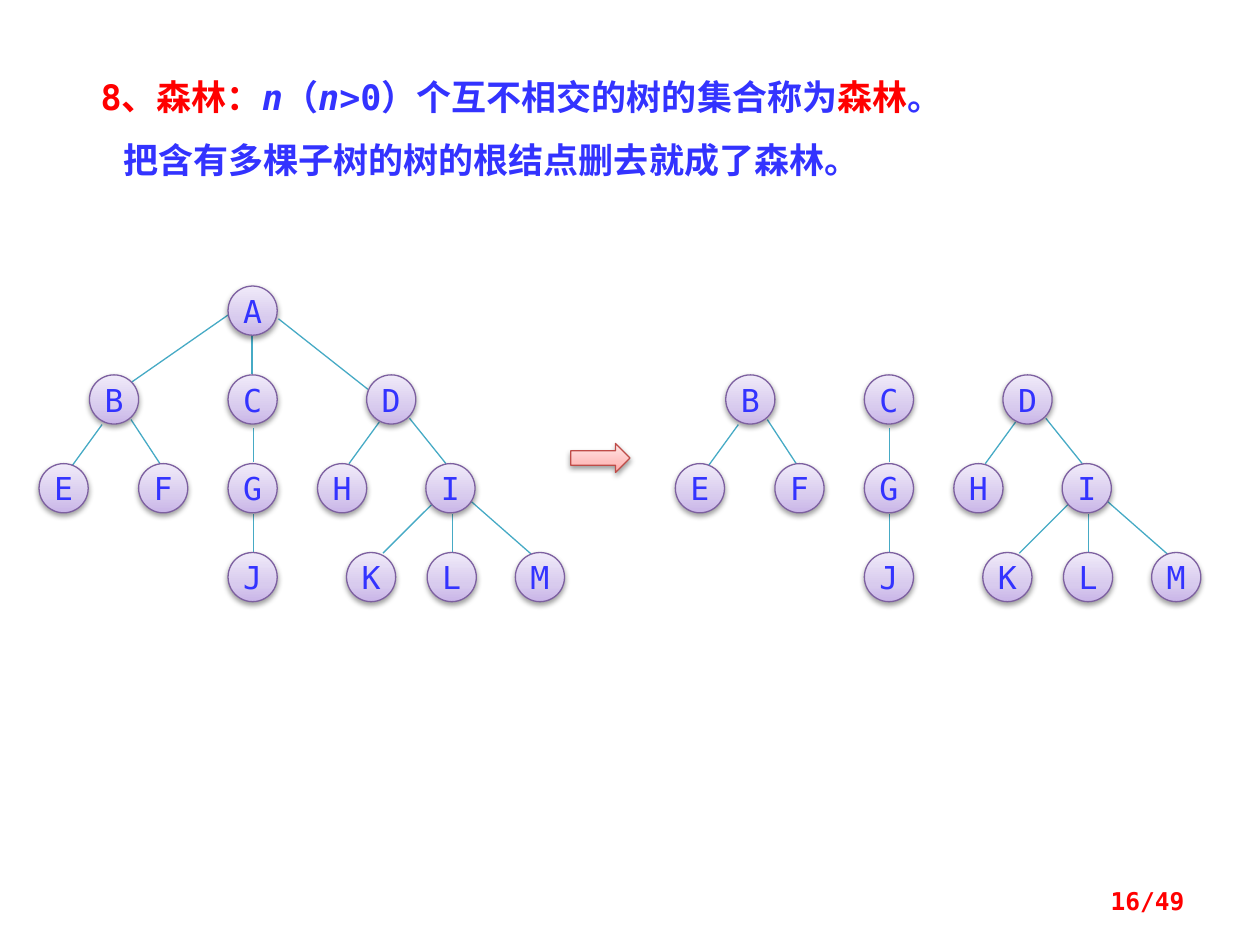
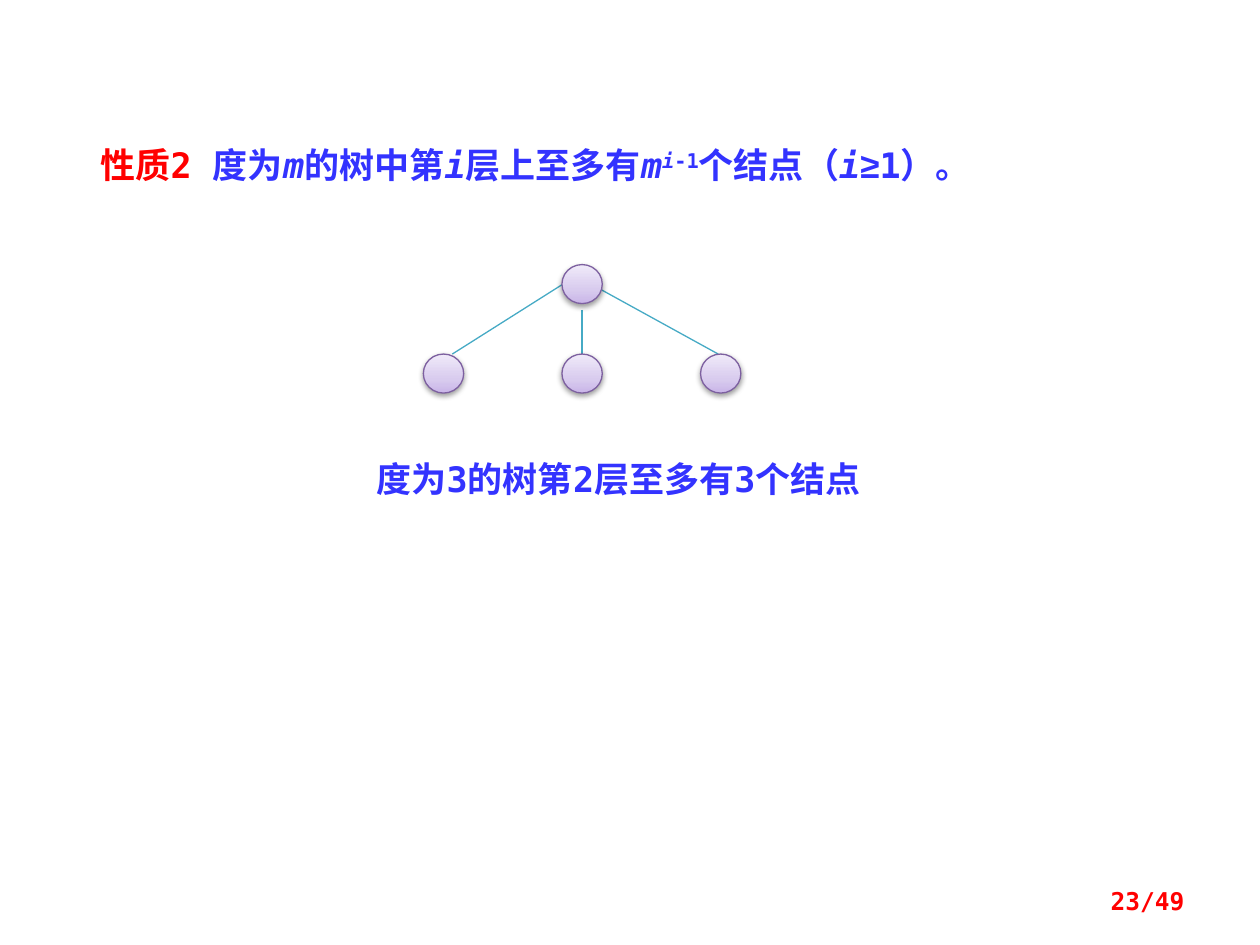
from dataclasses import dataclass

from lxml import etree
from pptx import Presentation
from pptx.dml.color import RGBColor
from pptx.enum import shapes, text
from pptx.oxml import parse_xml
from pptx.oxml.ns import nsdecls, qn
from pptx.util import Inches, Pt


@dataclass(frozen=True)
class Theme:
    """Fonts, sizes and colours shared by the slides."""
    font: str = "DejaVu Sans Mono"
    symbol_font: str = "Arial"
    body: int = 20
    label: int = 18
    page: int = 14
    rule: float = 0.75
    blue: str = "3333FF"
    red: str = "FF0000"
    edge: str = "46AAC5"
    node_line: str = "7D60A0"
    node_fill: tuple = ("C9B5E8", "D8CBEE", "F0EAF9")
    arrow_line: str = "BF4C48"
    arrow_fill: tuple = ("FFA6A5", "FFC0BF", "FFE7E7")


THEME = Theme()
PAGES = 49
NODE = (0.39, 0.39)
SMALL_NODE = (0.32, 0.31)
TREE_TOP, LEVEL_STEP = 2.27, 0.705
FOREST_SHIFT = 5.05

LEVELS = [
    {"A": 1.81},
    {"B": 0.71, "C": 1.81, "D": 2.91},
    {"E": 0.31, "F": 1.1, "G": 1.81, "H": 2.52, "I": 3.38},
    {"J": 1.81, "K": 2.75, "L": 3.39, "M": 4.09},
]
EDGES = {
    "AB": (1.81, 2.5, 1.02, 3.05),
    "AC": (2, 2.66, 2, 2.97),
    "AD": (2.21, 2.53, 2.92, 3.09),
    "BE": (0.81, 3.37, 0.57, 3.7),
    "BF": (1.04, 3.33, 1.27, 3.68),
    "CG": (2.01, 3.4, 2.01, 3.67),
    "DH": (3.01, 3.35, 2.77, 3.68),
    "DI": (3.25, 3.32, 3.54, 3.68),
    "GJ": (2.01, 4.08, 2.01, 4.39),
    "IK": (3.43, 4, 3.04, 4.39),
    "IL": (3.59, 4.08, 3.59, 4.39),
    "IM": (3.74, 3.98, 4.23, 4.41),
}
FOREST_TEXT = [
    [("8、森林：", "red"), ("n", "italic"), ("（", ""), ("n", "italic"),
     (">0）个互不相交的树的集合称为", ""), ("森林", "red"), ("。", "")],
    [("把含有多棵子树的树的根结点删去就成了森林。", "")],
]
PROPERTY_TEXT = [
    [("性质2 ", "red"), ("度为", ""), ("m", "italic"), ("的树中第", ""),
     ("i", "italic"), ("层上至多有", ""), ("m", "italic"),
     ("i", "italic super"), ("-1", "super"), ("个结点（", ""),
     ("i", "italic"), ("≥", "symbol"), ("1）。", "")],
]
EXAMPLE_TEXT = [[("度为3的树第2层至多有3个结点", "")]]


def box(left, top, width, height):
    """Return a position and size in inches as lengths."""
    return [Inches(v) for v in (left, top, width, height)]


def set_font(font, size, color, bold=False):
    """Apply the theme typeface with a size, colour and weight."""
    font.name, font.size, font.bold = THEME.font, Pt(size), bold
    font.color.rgb = RGBColor.from_string(color)


def add_run(p, words, style):
    """Add a run and apply the named departures from the paragraph font."""
    r = p.add_run()
    r.text = words
    if "red" in style:
        r.font.color.rgb = RGBColor.from_string(THEME.red)
    if "italic" in style:
        r.font.italic = True
    if "symbol" in style:
        r.font.name = THEME.symbol_font
    if "super" in style:
        r.font._element.set("baseline", "30000")


def add_text(slide, place, paragraphs, align, spacing=None, indent=0):
    """Add a bold statement; later paragraphs are indented."""
    tf = slide.shapes.add_textbox(*box(*place)).text_frame
    tf.word_wrap = True
    tf.auto_size = text.MSO_AUTO_SIZE.SHAPE_TO_FIT_TEXT
    for i, runs in enumerate(paragraphs):
        p = tf.add_paragraph() if i else tf.paragraphs[0]
        p.alignment, p.line_spacing = align, spacing
        if i:
            p.space_before = Pt(6)
            p._p.get_or_add_pPr().set("marL", str(Inches(indent)))
        set_font(p.font, THEME.body, THEME.blue, bold=True)
        for words, style in runs:
            add_run(p, words, style)


def add_page_number(slide, number):
    """Add the page count at the lower right."""
    tf = slide.shapes.add_textbox(*box(7.17, 6.95, 2.33, 0.4)).text_frame
    tf.word_wrap = True
    tf.vertical_anchor = text.MSO_ANCHOR.MIDDLE
    p = tf.paragraphs[0]
    p.text = f"{number}/{PAGES}"
    p.alignment = text.PP_ALIGN.RIGHT
    set_font(p.font, THEME.page, THEME.red, bold=True)


def style_shape(sp, colors, line):
    """Give a shape an upward gradient, a thin outline and a soft shadow."""
    stops = "".join(
        f'<a:gs pos="{pos}"><a:srgbClr val="{color}"/></a:gs>'
        for pos, color in zip((0, 35000, 100000), colors))
    fill = parse_xml(
        f'<a:gradFill {nsdecls("a")} rotWithShape="1"><a:gsLst>{stops}</a:gsLst>'
        '<a:lin ang="16200000" scaled="1"/></a:gradFill>')
    sp._element.spPr.find(qn("a:prstGeom")).addnext(fill)
    sp.line.color.rgb = RGBColor.from_string(line)
    sp.line.width = Pt(THEME.rule)
    sp.shadow.inherit = False
    sp._element.spPr.find(qn("a:effectLst")).append(parse_xml(
        f'<a:outerShdw {nsdecls("a")} blurRad="40000" dist="20000" dir="5400000"'
        ' rotWithShape="0"><a:srgbClr val="000000"><a:alpha val="38000"/>'
        '</a:srgbClr></a:outerShdw>'))


def add_node(parent, left, top, size, label=""):
    """Add a round tree node with an optional letter."""
    sp = parent.shapes.add_shape(
        shapes.MSO_SHAPE.OVAL, *box(left, top, *size))
    style_shape(sp, THEME.node_fill, THEME.node_line)
    if label:
        tf = sp.text_frame
        tf.word_wrap = False
        tf.vertical_anchor = text.MSO_ANCHOR.MIDDLE
        tf.margin_left = tf.margin_right = tf.margin_top = tf.margin_bottom = 0
        p = tf.paragraphs[0]
        p.text = label
        p.alignment = text.PP_ALIGN.CENTER
        set_font(p.font, THEME.label, THEME.blue)


def add_edge(parent, x1, y1, x2, y2):
    """Add a straight branch between two points."""
    cx = parent.shapes.add_connector(
        shapes.MSO_CONNECTOR.STRAIGHT, *box(x1, y1, x2, y2))
    cx.line.color.rgb = RGBColor.from_string(THEME.edge)
    cx.line.width = Pt(THEME.rule)
    etree.SubElement(cx._element.spPr, qn("a:effectLst"))


def add_tree(slide, shift=0, removed=""):
    """Add the lettered tree as a group, leaving out removed nodes."""
    group = slide.shapes.add_group_shape()
    for name, (x1, y1, x2, y2) in EDGES.items():
        if name[0] != removed:
            add_edge(group, x1 + shift, y1, x2 + shift, y2)
    for level, nodes in enumerate(LEVELS):
        for name, left in nodes.items():
            if name != removed:
                top = TREE_TOP + level * LEVEL_STEP
                add_node(group, left + shift, top, NODE, name)


def add_arrow(slide):
    """Add the arrow from the tree to the forest."""
    sp = slide.shapes.add_shape(
        shapes.MSO_SHAPE.RIGHT_ARROW, *box(4.53, 3.52, 0.47, 0.23))
    style_shape(sp, THEME.arrow_fill, THEME.arrow_line)


def add_forest_slide(prs):
    """Build the slide that defines a forest."""
    slide = prs.slides.add_slide(prs.slide_layouts[6])
    add_text(slide, (0.7, 0.47, 8.63, 1.03), FOREST_TEXT,
             text.PP_ALIGN.JUSTIFY, spacing=Pt(30), indent=0.18)
    add_tree(slide)
    add_tree(slide, shift=FOREST_SHIFT, removed="A")
    add_arrow(slide)
    add_page_number(slide, 16)


def add_property_slide(prs):
    """Build the slide on the node count of a level."""
    slide = prs.slides.add_slide(prs.slide_layouts[6])
    add_text(slide, (0.7, 1.09, 7.42, 0.44), PROPERTY_TEXT,
             text.PP_ALIGN.JUSTIFY)
    root_left, root_top, child_top = 4.46, 2.1, 2.81
    for edge in ((4.46, 2.26, 3.59, child_top), (4.62, 2.46, 4.62, 2.85),
                 (4.7, 2.26, 5.7, child_top)):
        add_edge(slide, *edge)
    add_node(slide, root_left, root_top, SMALL_NODE)
    for step in (-1, 0, 1):
        add_node(slide, root_left + step * 1.1, child_top, SMALL_NODE)
    add_text(slide, (2.89, 3.58, 4.06, 0.44), EXAMPLE_TEXT,
             text.PP_ALIGN.LEFT)
    add_page_number(slide, 23)


def main():
    """Build and save the presentation."""
    prs = Presentation()
    prs.slide_width, prs.slide_height = Inches(10), Inches(7.5)
    add_forest_slide(prs)
    add_property_slide(prs)
    prs.save("out.pptx")


if __name__ == "__main__":
    main()
